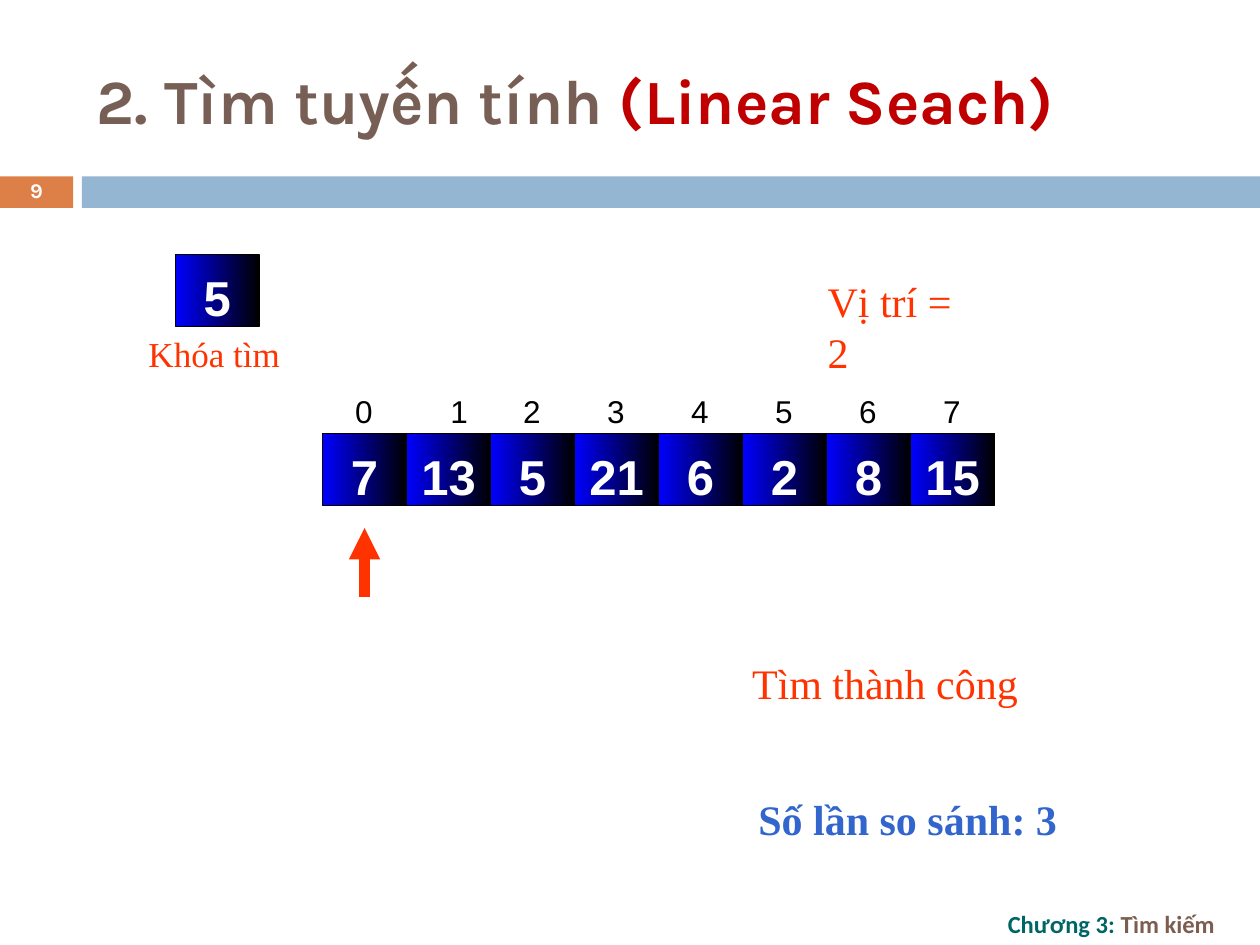
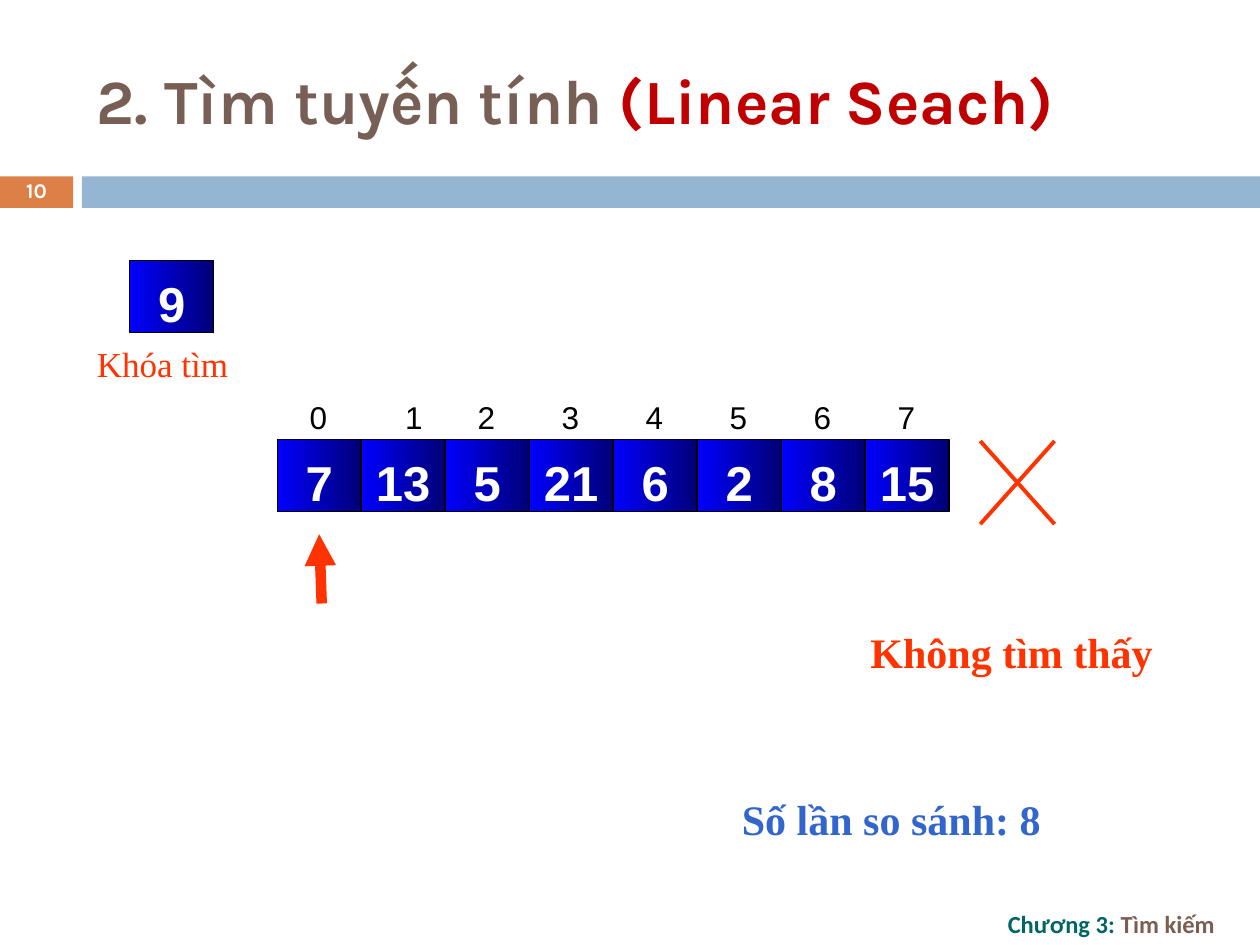
from pptx import Presentation
from pptx.dml.color import RGBColor
from pptx.enum.shapes import MSO_CONNECTOR, MSO_SHAPE
from pptx.enum.text import MSO_ANCHOR, PP_ALIGN
from pptx.oxml.ns import qn
from pptx.util import Inches, Pt
from lxml.etree import SubElement

# Shared style
BROWN, CRIMSON = "775F55", "C00000"
ORANGE, LIGHT_BLUE = "DD8047", "94B6D2"
GREEN, FOOTER_BROWN = "006565", "7C5D50"
RED, BLUE = "FF3300", "3366CC"
BLACK, WHITE, NAVY = "000000", "FFFFFF", "000076"
CELL_START = "0000FF"
HEAD_FONT, FOOTER_FONT, CELL_FONT, BODY_FONT = "Karla", "Calibri", "Arial", "Times New Roman"

# Array layout
VALUES = [7, 13, 5, 21, 6, 2, 8, 15]
PITCH, CELL_H = 2 / 3, 0.57


def rgb(value):
    return RGBColor.from_string(value)


class Deck:
    def __init__(self):
        self.prs = Presentation()
        self.prs.slide_width, self.prs.slide_height = Inches(10), Inches(7.5)
        self.s = None

    def rect(self, x, y, w, h):
        sp = self.s.shapes.add_shape(MSO_SHAPE.RECTANGLE, Inches(x), Inches(y), Inches(w), Inches(h))
        sp.shadow.inherit = False
        return sp

    def band(self, x, w, color):
        sp = self.rect(x, 1.4, w, 0.25)
        sp.fill.solid()
        sp.fill.fore_color.rgb = rgb(color)
        sp.line.fill.background()

    def add_runs(self, sp, runs, size, font, bold=False, align=PP_ALIGN.LEFT):
        """Fill the first paragraph with (text, colour) runs."""
        p = sp.text_frame.paragraphs[0]
        p.alignment = align
        p.font.size, p.font.name, p.font.bold = Pt(size), font, bold
        for text, color in runs:
            r = p.add_run()
            r.text = text
            r.font.color.rgb = rgb(color)
        return p

    def text(self, x, y, w, h, runs, size, font=BODY_FONT, bold=False,
             align=PP_ALIGN.LEFT, anchor=MSO_ANCHOR.TOP, wrap=False):
        sp = self.s.shapes.add_textbox(Inches(x), Inches(y), Inches(w), Inches(h))
        sp.text_frame.word_wrap = wrap
        sp.text_frame.vertical_anchor = anchor
        return self.add_runs(sp, runs, size, font, bold, align)

    def line(self, start, end, width, arrow=False):
        ends = [Inches(v) for v in (*start, *end)]
        cx = self.s.shapes.add_connector(MSO_CONNECTOR.STRAIGHT, *ends)
        cx.line.color.rgb = rgb(RED)
        cx.line.width = Pt(width)
        props = cx.element.spPr
        if arrow:
            SubElement(props.find(qn("a:ln")), qn("a:tailEnd"), type="triangle")
        SubElement(props, qn("a:effectLst"))

    def cell(self, x, y, value, shade):
        sp = self.rect(x, y, PITCH, CELL_H)
        sp.fill.gradient()
        sp.fill.gradient_angle = 0
        for stop, position, color in zip(sp.fill.gradient_stops, (0, 1), (CELL_START, shade)):
            stop.position = position
            stop.color.rgb = rgb(color)
        sp.line.color.rgb = rgb(BLACK)
        sp.line.width = Pt(0.75)
        tf = sp.text_frame
        tf.vertical_anchor = MSO_ANCHOR.TOP
        tf.margin_top, tf.margin_bottom = Inches(0.1), 0
        self.add_runs(sp, [(str(value), WHITE)], 28, CELL_FONT, True, PP_ALIGN.CENTER)

    def array(self, x, y, shade):
        for i, value in enumerate(VALUES):
            self.cell(x + i * PITCH, y, value, shade)
            inset = 0.25 if i == 1 else 0.16
            self.text(x + i * PITCH + inset, y - 0.38, 0.34, 0.4, [(str(i), BLACK)], 18, CELL_FONT)

    def slide(self, number):
        self.s = self.prs.slides.add_slide(self.prs.slide_layouts[6])
        self.band(0, 0.58, ORANGE)
        self.band(0.65, 9.35, LIGHT_BLUE)
        self.text(7.9, 7.17, 2.1, 0.33, [("Chương 3: ", GREEN), ("Tìm kiếm", FOOTER_BROWN)],
                  14, FOOTER_FONT, True, anchor=MSO_ANCHOR.MIDDLE, wrap=True)
        self.text(0.67, 0.25, 8.92, 1.08, [("2. Tìm tuyến tính ", BROWN), ("(Linear Seach)", CRIMSON)],
                  36, HEAD_FONT, True, anchor=MSO_ANCHOR.MIDDLE, wrap=True)
        p = self.text(0, 1.39, 0.58, 0.27, [(str(number), WHITE)], 12, HEAD_FONT, True,
                      PP_ALIGN.CENTER, MSO_ANCHOR.MIDDLE, True)
        p.line_spacing = 0.8

    def search(self, x, y, key, shade, arrow_lean=0):
        """Draw the key, the array and the arrow at its first cell."""
        self.cell(x - 1.17, y - 1.42, key, shade)
        self.array(x, y, shade)
        tip = x + PITCH / 2
        self.line((tip + arrow_lean, y + 1.3), (tip, y + 0.75), 6, arrow=True)

    def comparisons(self, x, w, count):
        self.text(x, 6.25, w, 0.5, [(f"Số lần so sánh: {count}", BLUE)], 24, bold=True)


def main():
    deck = Deck()

    # Key found
    deck.slide(9)
    deck.search(2.56, 3.44, 5, BLACK)
    deck.text(1.08, 2.59, 1.38, 0.44, [("Khóa tìm", RED)], 20)
    deck.text(6.47, 2.14, 1.43, 0.5, [("Vị trí = 2", RED)], 24)
    deck.text(5.87, 5.17, 2.31, 0.5, [("Tìm thành công", RED)], 24)
    deck.comparisons(5.92, 2.57, 3)

    # Key not found
    deck.slide(10)
    deck.search(2.2, 3.49, 9, NAVY, arrow_lean=0.02)
    deck.text(0.67, 2.67, 1.31, 0.44, [("Khóa tìm", RED)], 20)
    deck.text(6.81, 4.92, 2.44, 0.5, [("Không tìm thấy", RED)], 24, bold=True)
    left, right, top, bottom = 7.78, 8.37, 3.5, 4.16
    deck.line((right, top), (left, bottom), 2.25)
    deck.line((left, top), (right, bottom), 2.25)
    deck.comparisons(5.79, 2.57, 8)

    deck.prs.save("out.pptx")


if __name__ == "__main__":
    main()
